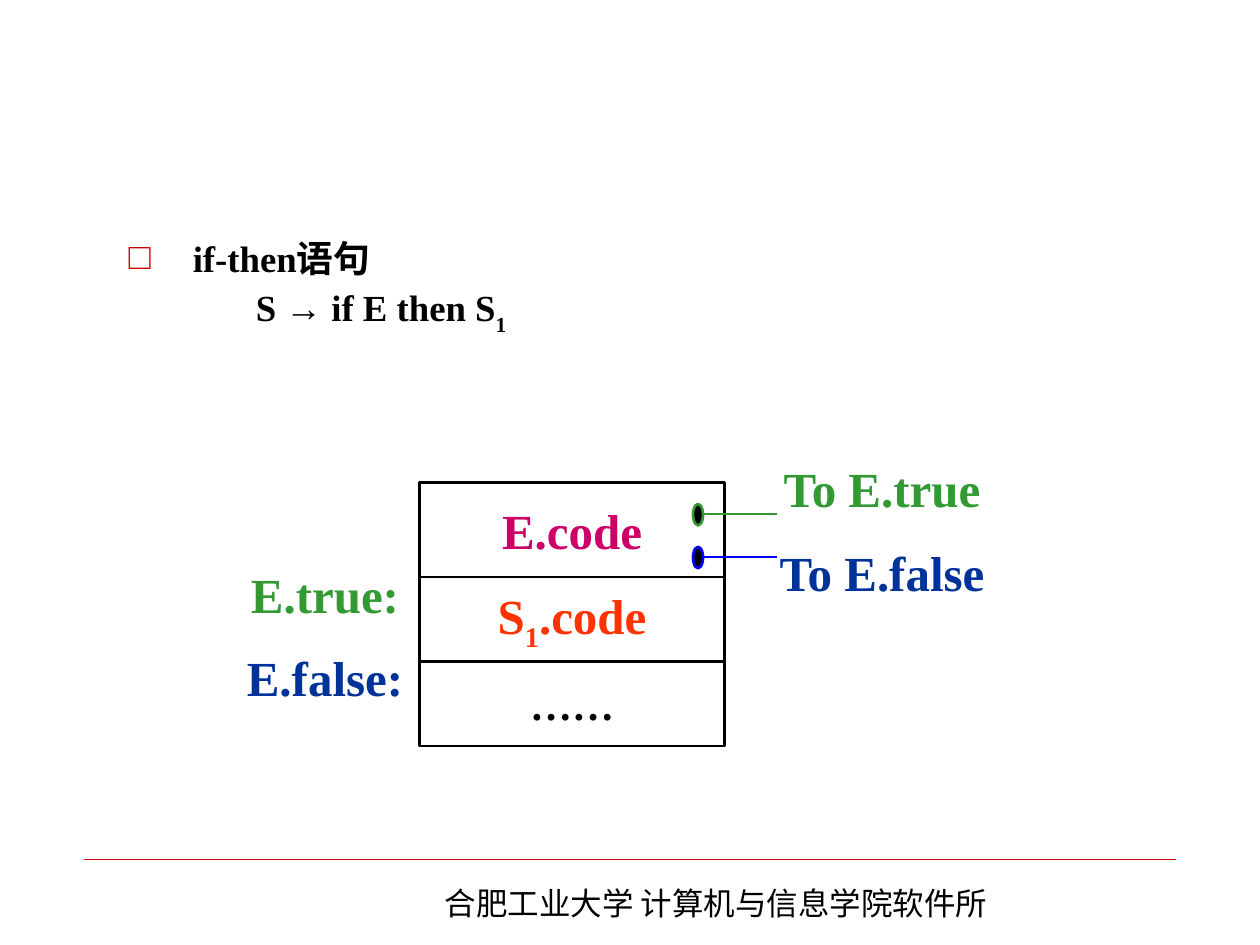
from lxml import etree
from pptx import Presentation
from pptx.dml.color import RGBColor
from pptx.enum.shapes import MSO_CONNECTOR, MSO_SHAPE
from pptx.enum.text import MSO_ANCHOR, MSO_AUTO_SIZE, PP_ALIGN
from pptx.oxml.ns import qn
from pptx.util import Inches, Pt

STRAIGHT = MSO_CONNECTOR.STRAIGHT
RECTANGLE, OVAL = MSO_SHAPE.RECTANGLE, MSO_SHAPE.OVAL
CENTER, MIDDLE, TOP = PP_ALIGN.CENTER, MSO_ANCHOR.MIDDLE, MSO_ANCHOR.TOP
NO_AUTOFIT = MSO_AUTO_SIZE.NONE

BLACK = RGBColor(0x00, 0x00, 0x00)
RED = RGBColor(0xCC, 0x00, 0x00)
MAGENTA = RGBColor(0xCC, 0x00, 0x66)
ORANGE = RGBColor(0xFF, 0x33, 0x00)
GREEN = RGBColor(0x33, 0x99, 0x33)
NAVY = RGBColor(0x00, 0x33, 0x99)
BLUE = RGBColor(0x00, 0x00, 0xFF)
LATIN, CHINESE = "Times New Roman", "Noto Sans CJK SC"

FOOTER = "合肥工业大学 计算机与信息学院软件所"
BODY = [
    [("if-then语句", 0)],
    [("\t\tS → if E then S", 0), ("1", -30)],
]
CODE_BLOCKS = [
    ([("E.code", 0)], 0.75, 28, MAGENTA),
    ([("S", 0), ("1", -25), (".code", 0)], 0.67, 28, ORANGE),
    ([("……", 0)], 0.67, 24, BLACK),
]
LABELS = [
    ("To E.true", 7, 3.58, GREEN),
    ("To E.false", 7, 4.25, NAVY),
    ("E.true:", 2.58, 4.42, GREEN),
    ("E.false:", 2.58, 5.08, NAVY),
]
EXITS = [(4.08, GREEN), (4.42, BLUE)]
BLOCK_LEFT, BLOCK_TOP, BLOCK_WIDTH = 3.33, 3.83, 2.42
LABEL_WIDTH, LABEL_HEIGHT = 1.7, 0.58
BODY_INDENT = 0.51

presentation = Presentation()
presentation.slide_width, presentation.slide_height = Inches(10), Inches(7.5)
slide = presentation.slides.add_slide(presentation.slide_layouts[1])
title = slide.shapes.title
title.element.getparent().remove(title.element)
body = slide.placeholders[1]


def box(left, top, width, height):
    return [Inches(value) for value in (left, top, width, height)]


def add_runs(paragraph, pieces, size, color, latin=LATIN, bold=True):
    for text, baseline in pieces:
        run = paragraph.add_run()
        run.text = text
        run.font.size, run.font.bold = Pt(size), bold
        run.font.name = latin
        run.font.color.rgb = color
        properties = run.font._element
        etree.SubElement(properties, qn("a:ea"), typeface=CHINESE)
        if baseline:
            properties.set("baseline", str(baseline * 1000))


def add_line(x1, y1, x2, y2, color, width):
    line = slide.shapes.add_connector(STRAIGHT, *box(x1, y1, x2, y2))
    line.line.color.rgb, line.line.width = color, Pt(width)
    etree.SubElement(line.element.spPr, qn("a:effectLst"))


def add_outlined(kind, place, color):
    shape = slide.shapes.add_shape(kind, *box(*place))
    shape.shadow.inherit = False
    shape.line.color.rgb, shape.line.width = color, Pt(1.5)
    return shape


def add_centered(shape, pieces, size, color):
    frame = shape.text_frame
    frame.word_wrap, frame.vertical_anchor = False, MIDDLE
    frame.margin_left = frame.margin_right = 0
    paragraph = frame.paragraphs[0]
    paragraph.alignment = CENTER
    add_runs(paragraph, pieces, size, color)


def format_body(paragraph, bulleted):
    paragraph.line_spacing, paragraph.space_before = 0.7, Pt(7.5)
    properties = paragraph._p.get_or_add_pPr()
    properties.set("marL", str(Inches(BODY_INDENT)))
    properties.set("indent", str(Inches(-BODY_INDENT)))
    if bulleted:
        bullet_color = etree.SubElement(properties, qn("a:buClr"))
        etree.SubElement(bullet_color, qn("a:srgbClr"), val=str(RED))
        etree.SubElement(properties, qn("a:buChar"), char="□")
    else:
        etree.SubElement(properties, qn("a:buNone"))
    tabs = etree.SubElement(properties, qn("a:tabLst"))
    first = 1 if bulleted else 0
    for step in range(first, first + 8):
        position = Inches(BODY_INDENT + step)
        etree.SubElement(tabs, qn("a:tab"), pos=str(position), algn="l")


add_line(0.67, 6.82, 9.33, 6.82, RED, 0.26)
footer = slide.shapes.add_textbox(*box(3.43, 6.97, 5.04, 0.4)).text_frame
footer.word_wrap = True
footer.paragraphs[0].space_before = Pt(11.2)
add_runs(footer.paragraphs[0], [(FOOTER, 0)], 18, BLACK, CHINESE, False)

body.left, body.top, body.width, body.height = box(0.92, 1.92, 8.58, 0.75)
body_frame = body.text_frame
body_frame.auto_size, body_frame.vertical_anchor = NO_AUTOFIT, TOP
for index, pieces in enumerate(BODY):
    paragraph = body_frame.add_paragraph() if index else body_frame.paragraphs[0]
    format_body(paragraph, index == 0)
    add_runs(paragraph, pieces, 21, BLACK)

block_top = BLOCK_TOP
for pieces, height, size, color in CODE_BLOCKS:
    block = add_outlined(RECTANGLE, (BLOCK_LEFT, block_top, BLOCK_WIDTH, height), BLACK)
    block.fill.background()
    add_centered(block, pieces, size, color)
    block_top += height

for middle, color in EXITS:
    add_line(5.58, middle, 6.17, middle, color, 1.5)
    dot = add_outlined(OVAL, (5.5, middle - 0.08, 0.08, 0.17), color)
    dot.fill.solid()
    dot.fill.fore_color.rgb = BLACK

for text, center, top, color in LABELS:
    left = center - LABEL_WIDTH / 2
    label = slide.shapes.add_textbox(*box(left, top, LABEL_WIDTH, LABEL_HEIGHT))
    add_centered(label, [(text, 0)], 28, color)

presentation.save("out.pptx")
